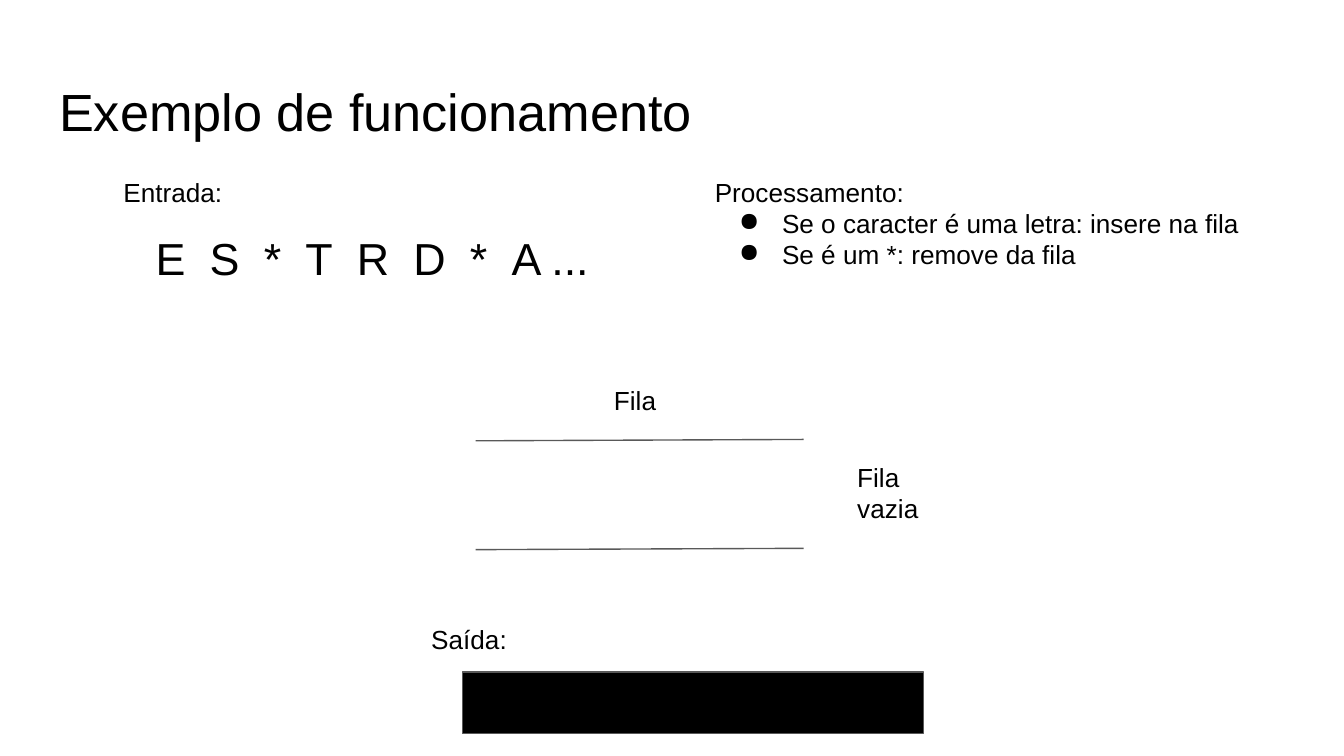
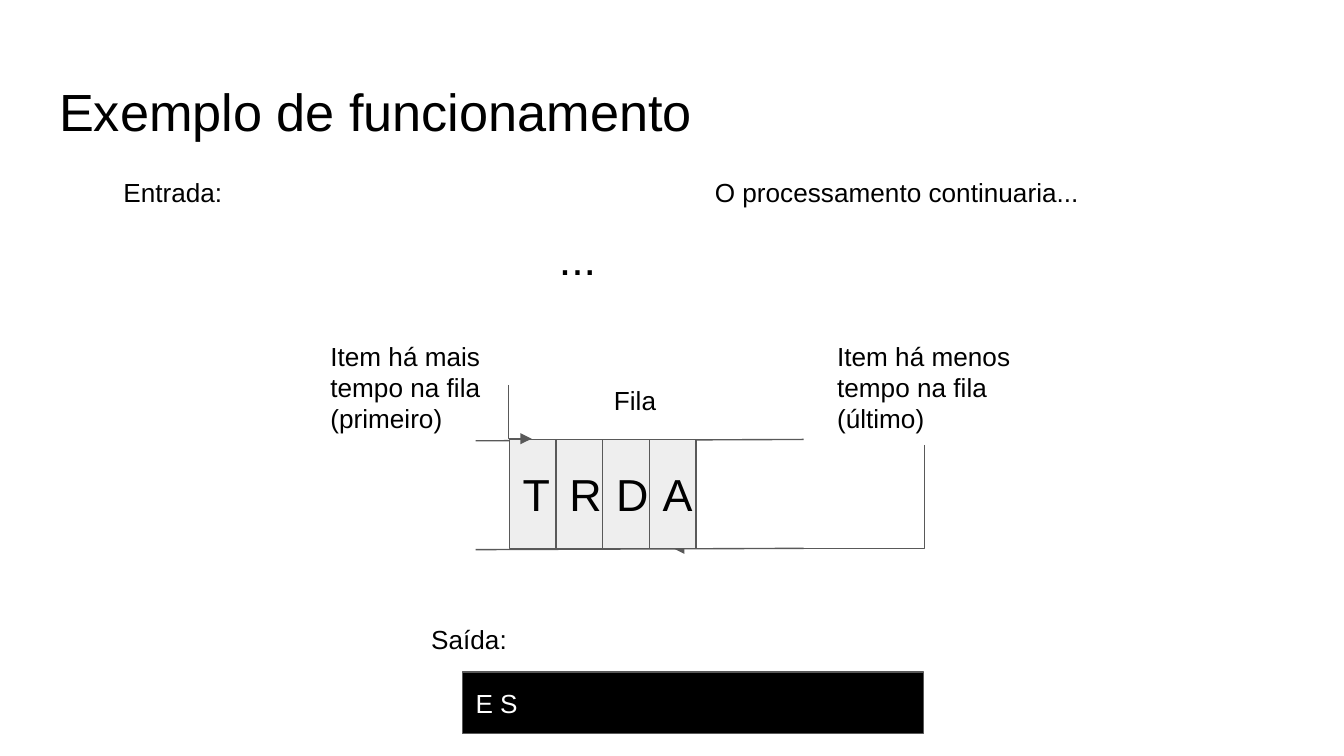
from pptx import Presentation, util as u
from pptx.dml.color import RGBColor
from pptx.enum import shapes, text
from pptx.oxml import ns
from lxml import etree

COLORS = dict(ink="000000", paper="FFFFFF", line="595959", cell="EEEEEE")
FONT, TITLE_SIZE, BODY_SIZE, SYMBOL_SIZE = "Arial", 28, 14, 24
TITLE = "Exemplo de funcionamento"
TITLE_BOX = (0.34, 0.49, 9.32, 0.63)
INPUT_BOX = (1.06, 1.62, 3.49, 0.38)
PROCESS_BOX = (5.22, 1.21, 4.19, 0.63)
OUTPUT_BOX = (3.44, 5, 3.43, 0.46)
QUEUE_LEFT, QUEUE_RIGHT, QUEUE_TOP, QUEUE_BOTTOM = 3.54, 5.98, 3.27, 4.08
CELL_LEFT, CELLS_WIDTH = 3.79, 1.39

LABELS = [
    ("Entrada:", (0.82, 1.21, 1.9, 0.46)),
    ("Saída:", (3.11, 4.54, 4.19, 0.38)),
    ("Fila", (4.47, 2.76, 0.7, 0.22)),
]
SYMBOLS = ["E", "S", "*", "T", "R", "D", "*", "A ..."]
SLIDES = [
    dict(process="Processamento:",
         rules=["Se o caracter é uma letra: insere na fila", "Se é um *: remove da fila"],
         labels=[("Fila vazia", (6.28, 3.33, 0.91, 0.49))],
         symbols=SYMBOLS, input_left=1.06, queue="", output=""),
    dict(process="O processamento continuaria...", rules=[],
         labels=[("Item há mais tempo na fila (primeiro)", (2.36, 2.43, 1.43, 0.88)),
                 ("Item há menos tempo na fila (último)", (6.13, 2.43, 1.51, 0.88))],
         symbols=["..."], input_left=4.06, queue="TRDA", output="E S"),
]


def inches(*values):
    return [u.Inches(v) for v in values]


def rgb(name):
    return RGBColor.from_string(COLORS[name])


def sub(parent, tag, **attrs):
    return etree.SubElement(parent, ns.qn(tag), attrs)


def prepare(shape, anchor=text.MSO_ANCHOR.TOP):
    tf = shape.text_frame
    margins = {f"margin_{side}": u.Inches(0.1) for side in ("left", "right", "top", "bottom")}
    for key, value in dict(margins, word_wrap=True, vertical_anchor=anchor,
                           auto_size=text.MSO_AUTO_SIZE.NONE).items():
        setattr(tf, key, value)
    return tf


def write(p, content, size=BODY_SIZE, color="ink", align=text.PP_ALIGN.LEFT):
    p.alignment, p.line_spacing = align, 1.0
    r = p.add_run()
    r.text = content
    for key, value in dict(name=FONT, size=u.Pt(size), bold=False).items():
        setattr(r.font, key, value)
    r.font.color.rgb = rgb(color)
    return r


def add_text(s, box, content, size=BODY_SIZE):
    tf = prepare(s.shapes.add_textbox(*inches(*box)))
    write(tf.paragraphs[0], content, size)
    return tf


def add_rule(tf, content):
    p = tf.add_paragraph()
    write(p, content)
    pPr = p._p.get_or_add_pPr()
    pPr.set("marL", str(u.Inches(0.5)))
    pPr.set("indent", str(u.Inches(-0.32)))
    sub(sub(pPr, "a:buClr"), "a:srgbClr", val=COLORS["ink"])
    sub(pPr, "a:buSzPts", val=str(BODY_SIZE * 100))
    sub(pPr, "a:buChar", char="●")


def add_symbols(s, left, symbols):
    box = (left,) + INPUT_BOX[1:]
    p = add_text(s, box, symbols[0], SYMBOL_SIZE).paragraphs[0]
    for symbol in symbols[1:]:
        gap = write(p, " ", SYMBOL_SIZE)
        gap._r.get_or_add_rPr().set("spc", "630")
        write(p, symbol, SYMBOL_SIZE)


def add_box(s, box, fill, content, **style):
    sp = s.shapes.add_shape(shapes.MSO_SHAPE.RECTANGLE, *inches(*box))
    sp.shadow.inherit = False
    sp.fill.solid()
    sp.fill.fore_color.rgb = rgb(fill)
    sp.line.color.rgb, sp.line.width = rgb("line"), u.Pt(0.75)
    if content:
        tf = prepare(sp, text.MSO_ANCHOR.MIDDLE)
        write(tf.paragraphs[0], content, **style)


def add_line(s, start, end, kind=shapes.MSO_CONNECTOR.STRAIGHT, arrow=False):
    c = s.shapes.add_connector(kind, *inches(*start, *end))
    c.line.color.rgb, c.line.width = rgb("line"), u.Pt(0.75)
    if arrow:
        sub(c.line._get_or_add_ln(), "a:tailEnd", type="triangle")
    sub(c._element.spPr, "a:effectLst")
    return c._element.spPr


def add_pointers(s):
    elbow = shapes.MSO_CONNECTOR.ELBOW
    first = add_line(s, (4.07, 2.98), (3.67, 3.15), elbow, True)
    first.find(ns.qn("a:xfrm")).set("rot", str(270 * 60000))
    first.find(ns.qn("a:prstGeom")).set("prst", "bentConnector2")
    last = add_line(s, (6.88, 3.31), (5.01, QUEUE_BOTTOM), elbow, True)
    guides = last.find(ns.qn("a:prstGeom")).find(ns.qn("a:avLst"))
    sub(guides, "a:gd", name="adj1", fmla="val 0")


def add_queue(s, letters):
    for y in (QUEUE_TOP, QUEUE_BOTTOM):
        add_line(s, (QUEUE_LEFT, y + 0.01), (QUEUE_RIGHT, y))
    for i, letter in enumerate(letters):
        width = CELLS_WIDTH / len(letters)
        box = (CELL_LEFT + i * width, QUEUE_TOP, width, QUEUE_BOTTOM - QUEUE_TOP)
        add_box(s, box, "cell", letter, size=SYMBOL_SIZE, align=text.PP_ALIGN.CENTER)
        if i == 0:
            add_pointers(s)


def build(prs, data):
    s = prs.slides.add_slide(prs.slide_layouts[5])
    s.background.fill.solid()
    s.background.fill.fore_color.rgb = rgb("paper")
    title = s.shapes.title
    title.left, title.top, title.width, title.height = inches(*TITLE_BOX)
    write(prepare(title).paragraphs[0], TITLE, TITLE_SIZE)
    add_symbols(s, data["input_left"], data["symbols"])
    for content, box in LABELS + data["labels"]:
        add_text(s, box, content)
    tf = add_text(s, PROCESS_BOX, data["process"])
    for rule in data["rules"]:
        add_rule(tf, rule)
    add_box(s, OUTPUT_BOX, "ink", data["output"], color="paper")
    add_queue(s, data["queue"])


def main():
    prs = Presentation()
    prs.slide_width = u.Inches(10)
    prs.slide_height = prs.slide_width * 9 // 16
    for data in SLIDES:
        build(prs, data)
    prs.save("out.pptx")


if __name__ == "__main__":
    main()
